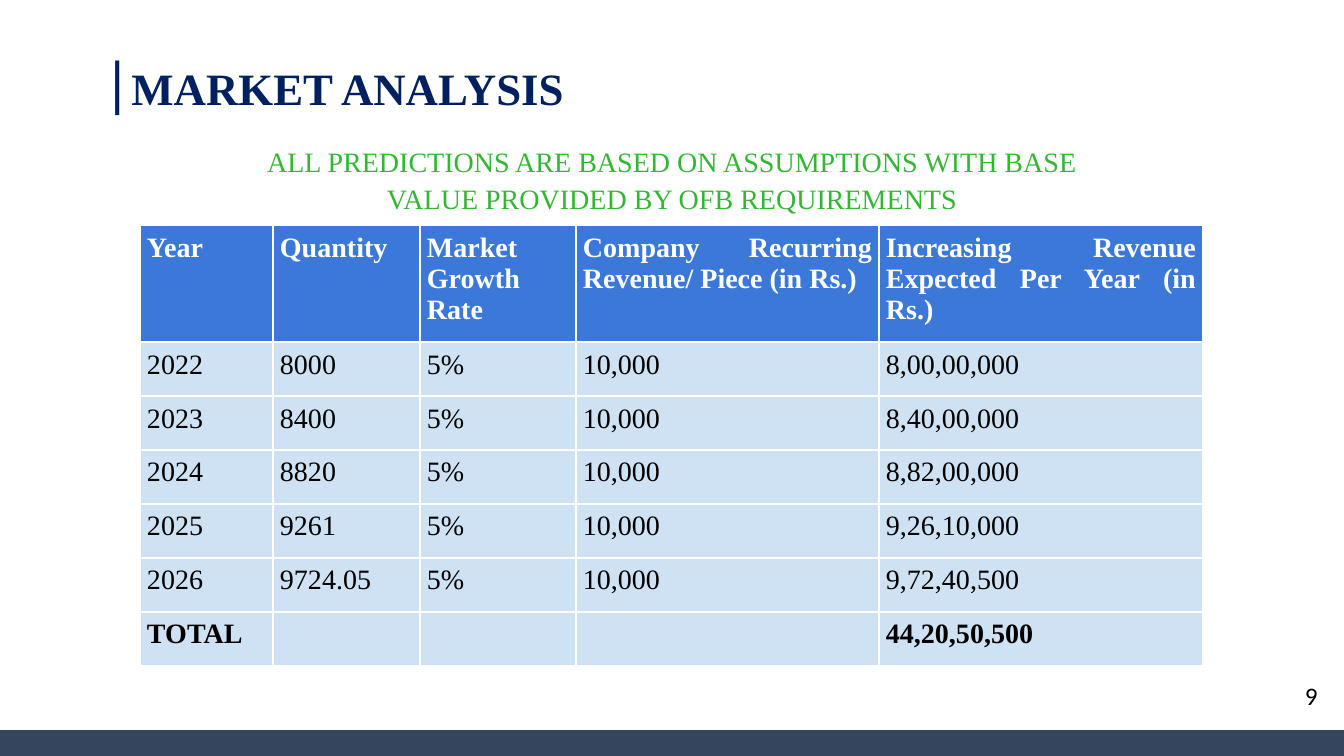
from lxml import etree
from pptx import Presentation
from pptx.dml.color import RGBColor
from pptx.enum.shapes import MSO_SHAPE
from pptx.enum.text import MSO_ANCHOR, MSO_AUTO_SIZE, PP_ALIGN
from pptx.oxml.ns import qn
from pptx.util import Pt

RECT = MSO_SHAPE.RECTANGLE
MIDDLE = MSO_ANCHOR.MIDDLE
NO_FIT, GROW = MSO_AUTO_SIZE.NONE, MSO_AUTO_SIZE.SHAPE_TO_FIT_TEXT
LEFT, CENTER, JUSTIFY = PP_ALIGN.LEFT, PP_ALIGN.CENTER, PP_ALIGN.JUSTIFY

NAVY = RGBColor(0x00, 0x20, 0x60)
GREEN = RGBColor(0x34, 0xB6, 0x34)
BLUE = RGBColor(0x3C, 0x78, 0xD8)
PALE_BLUE = RGBColor(0xCF, 0xE2, 0xF3)
SLATE = RGBColor(0x35, 0x45, 0x5E)
WHITE = RGBColor(0xFF, 0xFF, 0xFF)
BLACK = RGBColor(0x00, 0x00, 0x00)

SERIF, SANS = "Times New Roman", "Calibri"
PX_PER_INCH = 100.8
CELL_INSET = 7
HEADER_H, ROW_H = 117, 54
COL_WIDTHS = [133, 147, 156, 303, 324]
FORECAST = [
    ["Year", "Quantity", "Market Growth Rate",
     "Company Recurring Revenue/ Piece (in Rs.)",
     "Increasing Revenue Expected Per Year (in Rs.)"],
    ["2022", "8000", "5%", "10,000", "8,00,00,000"],
    ["2023", "8400", "5%", "10,000", "8,40,00,000"],
    ["2024", "8820", "5%", "10,000", "8,82,00,000"],
    ["2025", "9261", "5%", "10,000", "9,26,10,000"],
    ["2026", "9724.05", "5%", "10,000", "9,72,40,500"],
    ["TOTAL", "", "", "", "44,20,50,500"],
]


def px(n):
    return round(n * 914400 / PX_PER_INCH)


def style(font, size, name, color, bold=False):
    font.size, font.name, font.bold = Pt(size), name, bold
    font.color.rgb = color


def add_title(s, text, x, y, w, h):
    title = s.shapes.title
    title.left, title.top, title.width, title.height = map(px, (x, y, w, h))
    tf = title.text_frame
    tf.auto_size, tf.vertical_anchor = NO_FIT, MIDDLE
    p = tf.paragraphs[0]
    p.alignment, p.line_spacing = LEFT, 0.9
    for part, size, name, bold in (("|", 44, SANS, False), (text, 32, SERIF, True)):
        r = p.add_run()
        r.text = part
        style(r.font, size, name, NAVY, bold)


def add_text(s, text, x, y, w, h, size, name, color, align=LEFT, spacing=1.0):
    tf = s.shapes.add_textbox(*map(px, (x, y, w, h))).text_frame
    tf.word_wrap, tf.auto_size, tf.vertical_anchor = True, GROW, MIDDLE
    tf.text = text
    p = tf.paragraphs[0]
    p.alignment, p.line_spacing = align, spacing
    style(p.runs[0].font, size, name, color)


def add_borders(cell, color, width):
    tc_pr = cell._tc.get_or_add_tcPr()
    for i, side in enumerate(("a:lnL", "a:lnR", "a:lnT", "a:lnB")):
        ln = etree.Element(qn(side), w=str(Pt(width)))
        fill = etree.SubElement(ln, qn("a:solidFill"))
        etree.SubElement(fill, qn("a:srgbClr"), val=str(color))
        tc_pr.insert(i, ln)  # borders come before the cell fill


def fill_cell(cell, text, fill, color, bold):
    cell.margin_left = cell.margin_right = px(CELL_INSET)
    cell.margin_top = cell.margin_bottom = px(CELL_INSET)
    cell.fill.solid()
    cell.fill.fore_color.rgb = fill
    add_borders(cell, WHITE, 1.5)
    cell.text = text
    p = cell.text_frame.paragraphs[0]
    p.alignment = JUSTIFY
    for r in p.runs:
        style(r.font, 20, SERIF, color, bold)


def add_forecast_table(s, rows, x, y):
    heights = [HEADER_H] + [ROW_H] * (len(rows) - 1)
    size = (x, y, sum(COL_WIDTHS), sum(heights))
    table = s.shapes.add_table(len(rows), len(COL_WIDTHS), *map(px, size)).table
    for column, width in zip(table.columns, COL_WIDTHS):
        column.width = px(width)
    for i, (row, height) in enumerate(zip(rows, heights)):
        table.rows[i].height = px(height)
        fill, color = (BLUE, WHITE) if i == 0 else (PALE_BLUE, BLACK)
        bold = i in (0, len(rows) - 1)
        for j, text in enumerate(row):
            fill_cell(table.cell(i, j), text, fill, color, bold)


def add_bar(s, x, y, w, h, color):
    bar = s.shapes.add_shape(RECT, *map(px, (x, y, w, h)))
    bar.shadow.inherit = False
    bar.fill.solid()
    bar.fill.fore_color.rgb = color
    bar.line.color.rgb = color
    bar.line.width = Pt(1)


def main():
    prs = Presentation()
    prs.slide_width, prs.slide_height = px(1344), px(756)
    s = prs.slides.add_slide(prs.slide_layouts[5])

    # Heading
    add_title(s, "MARKET ANALYSIS", 93, 13, 1159, 146)

    # Revenue forecast
    add_forecast_table(s, FORECAST, 140, 225)
    add_text(s, "ALL PREDICTIONS ARE BASED ON ASSUMPTIONS WITH BASE VALUE "
             "PROVIDED BY OFB REQUIREMENTS",
             250, 139, 844, 78, 20, SERIF, GREEN, CENTER, 1.1)

    # Footer
    add_bar(s, 0, 731, 1344, 24, SLATE)
    add_text(s, "9", 1295, 675, 37, 40, 18, SANS, BLACK)

    prs.save("out.pptx")


if __name__ == "__main__":
    main()
